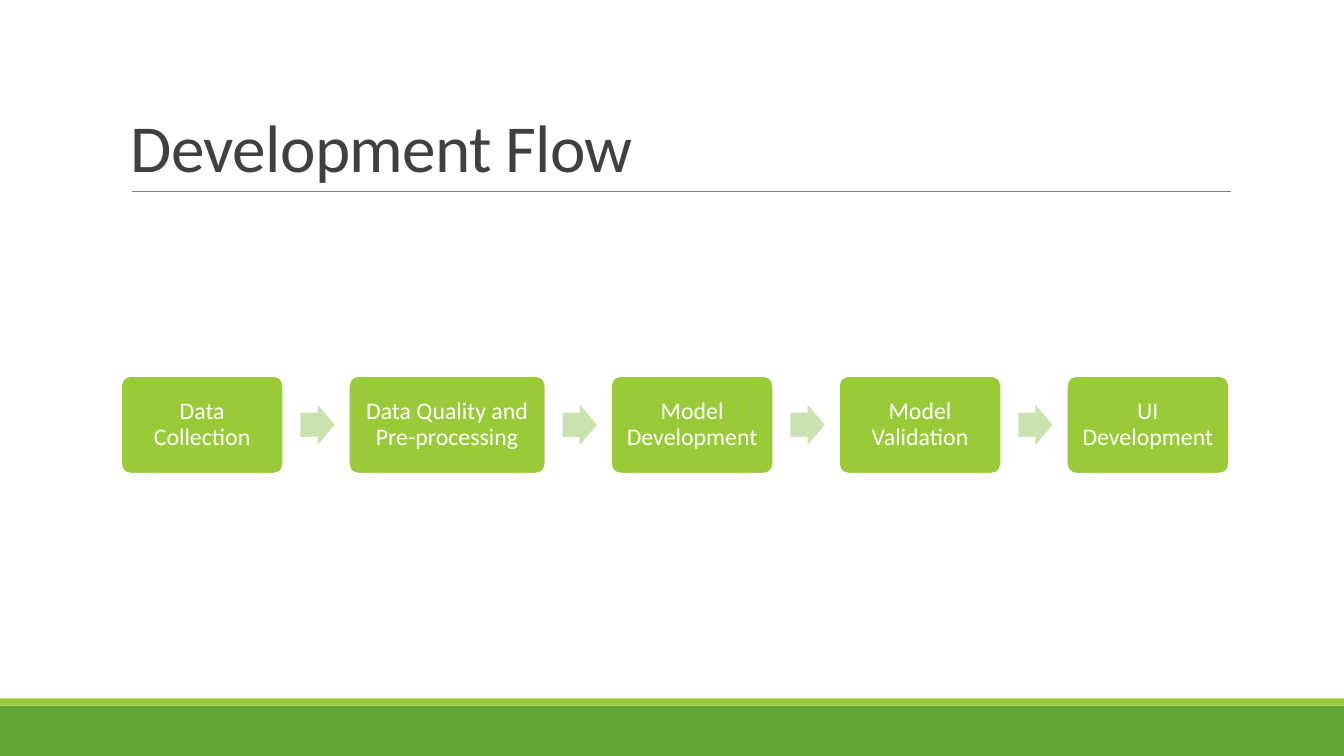
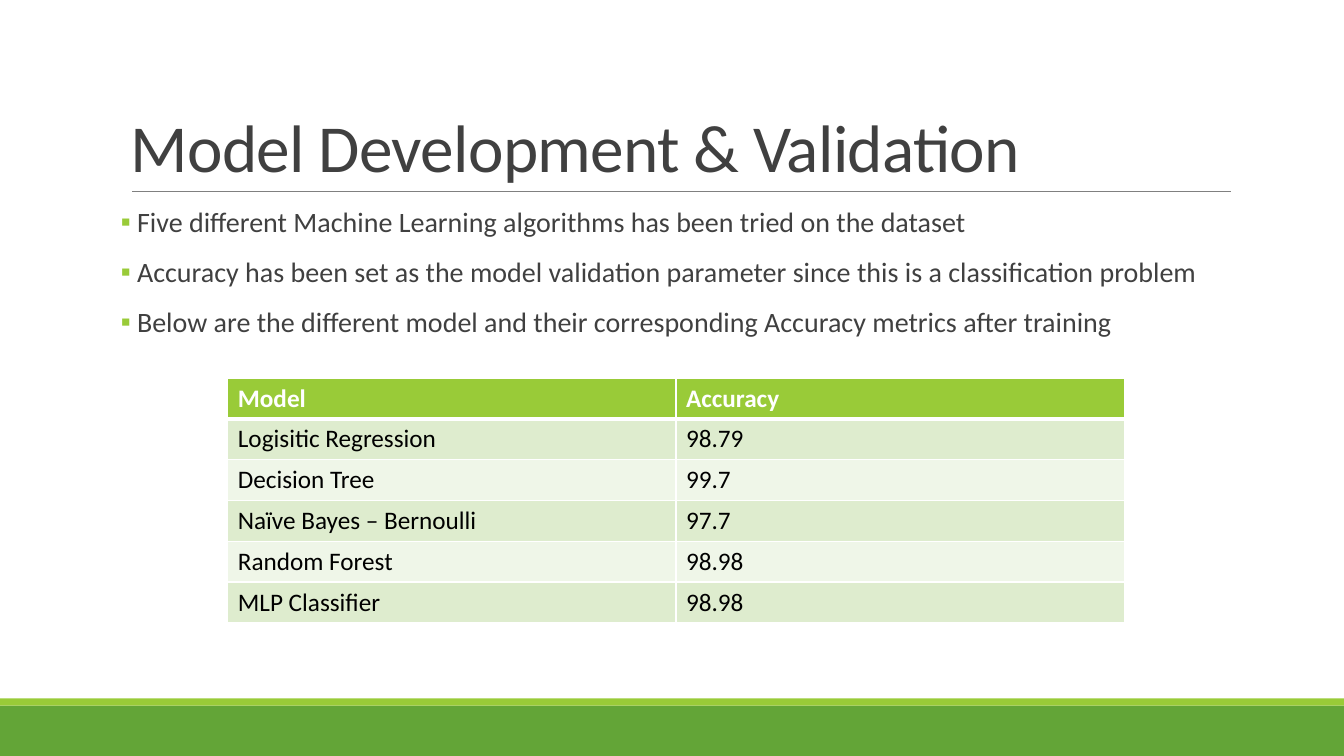
import pptx
import pptx.util
import pptx.dml.color
import pptx.enum.shapes
import pptx.enum.text
import pptx.oxml
import pptx.oxml.ns
from lxml import etree

Inches = pptx.util.Inches
Pt = pptx.util.Pt
SHAPE = pptx.enum.shapes.MSO_SHAPE
ANCHOR = pptx.enum.text.MSO_ANCHOR
ALIGN = pptx.enum.text.PP_ALIGN
qn = pptx.oxml.ns.qn

COLORS = {
    "band": "63A537",
    "accent": "99CB38",
    "arrow": "CAE2AF",
    "row_odd": "DEECCE",
    "row_even": "EFF6E8",
    "rule": "808080",
    "text": "404040",
    "black": "000000",
    "white": "FFFFFF",
}


def rgb(name):
    return pptx.dml.color.RGBColor.from_string(COLORS[name])


class Deck:
    font = "Calibri"
    width, height = 13.33, 7.5
    left, content_width = 1.2, 11

    def __init__(self):
        self.prs = pptx.Presentation()
        self.prs.slide_width = Inches(self.width)
        self.prs.slide_height = Inches(self.height)
        self.s = None

    def slide(self, title):
        """Start a slide with the shared bands, title and rule."""
        self.s = self.prs.slides.add_slide(self.prs.slide_layouts[6])
        self.shape(SHAPE.RECTANGLE, 0, 7, self.width, 0.5, "band")
        self.shape(SHAPE.RECTANGLE, 0, 6.93, self.width, 0.07, "accent")
        self.line(1.31, 1.9, 12.21, 1.9, "rule", 0.5)
        tf = self.textbox(self.left, 0.31, self.content_width, 1.59)
        tf.vertical_anchor = ANCHOR.BOTTOM
        p = tf.paragraphs[0]
        self.set_text(p, title, 48, "text", spacing=0.85)
        p.runs[0]._r.get_or_add_rPr().set("spc", "-50")

    def shape(self, kind, x, y, w, h, fill, adjustments=()):
        sp = self.s.shapes.add_shape(kind, Inches(x), Inches(y), Inches(w), Inches(h))
        sp.shadow.inherit = False
        sp.fill.solid()
        sp.fill.fore_color.rgb = rgb(fill)
        sp.line.fill.background()
        for i, value in enumerate(adjustments):
            sp.adjustments[i] = value
        return sp

    def line(self, x1, y1, x2, y2, color, width):
        cn = self.s.shapes.add_connector(
            pptx.enum.shapes.MSO_CONNECTOR.STRAIGHT,
            Inches(x1), Inches(y1), Inches(x2), Inches(y2))
        cn.line.color.rgb = rgb(color)
        cn.line.width = Pt(width)
        etree.SubElement(cn._element.spPr, qn("a:effectLst"))

    def textbox(self, x, y, w, h):
        tf = self.s.shapes.add_textbox(
            Inches(x), Inches(y), Inches(w), Inches(h)).text_frame
        tf.word_wrap = True
        return tf

    def set_text(self, p, text, size, color, bold=False, spacing=None):
        p.text = text
        p.line_spacing = spacing
        for r in p.runs:
            r.font.name = self.font
            r.font.size = Pt(size)
            r.font.bold = bold
            r.font.color.rgb = rgb(color)

    def bullets(self, x, y, w, h, items, indent=0.16):
        tf = self.textbox(x, y, w, h)
        tf.margin_left = tf.margin_right = 0
        for i, item in enumerate(items):
            p = tf.add_paragraph() if i else tf.paragraphs[0]
            self.set_text(p, item, 20, "text", spacing=0.9)
            p.space_before, p.space_after = Pt(12), Pt(2)
            pPr = p._p.get_or_add_pPr()
            pPr.set("marL", str(Inches(indent)))
            pPr.set("indent", str(-Inches(indent)))
            color = etree.SubElement(pPr, qn("a:buClr"))
            etree.SubElement(color, qn("a:srgbClr"), val=COLORS["accent"])
            etree.SubElement(pPr, qn("a:buFont"), typeface=self.font)
            etree.SubElement(pPr, qn("a:buChar"), char="▪")

    def step(self, x, y, w, h, text):
        sp = self.shape(SHAPE.ROUNDED_RECTANGLE, x, y, w, h, "accent", [0.1])
        sp.line.color.rgb = rgb("white")
        sp.line.width = Pt(1.25)
        tf = sp.text_frame
        tf.word_wrap = True
        tf.vertical_anchor = ANCHOR.MIDDLE
        tf.margin_left = tf.margin_right = Inches(0.1)
        p = tf.paragraphs[0]
        self.set_text(p, text, 17, "white", spacing=0.9)
        p.alignment = ALIGN.CENTER

    def flow(self, x, y, h, steps, gap=0.65):
        """Lay out (text, width) steps in a row with an arrow in each gap."""
        arrow_w, arrow_h = 0.34, 0.4
        for i, (text, w) in enumerate(steps):
            if i:
                self.shape(SHAPE.RIGHT_ARROW, x - gap + 0.17, y + (h - arrow_h) / 2,
                           arrow_w, arrow_h, "arrow", [0.6, 0.5])
            self.step(x, y, w, h, text)
            x += w + gap

    def borders(self, cell, top, bottom):
        tcPr = cell._tc.get_or_add_tcPr()
        for side, width in (("L", 1), ("R", 1), ("T", top), ("B", bottom)):
            ln = etree.SubElement(tcPr, qn(f"a:ln{side}"), w=str(Pt(width)))
            fill = etree.SubElement(ln, qn("a:solidFill"))
            etree.SubElement(fill, qn("a:srgbClr"), val=COLORS["white"])

    def table(self, x, y, w, h, rows):
        tbl = self.s.shapes.add_table(
            len(rows), len(rows[0]), Inches(x), Inches(y), Inches(w), Inches(h)).table
        for i, row in enumerate(rows):
            header = i == 0
            fill = "accent" if header else "row_odd" if i % 2 else "row_even"
            for j, text in enumerate(row):
                cell = tbl.cell(i, j)
                self.borders(cell, top=3 if i == 1 else 1, bottom=3 if header else 1)
                cell.fill.solid()
                cell.fill.fore_color.rgb = rgb(fill)
                self.set_text(cell.text_frame.paragraphs[0], text, 18,
                              "white" if header else "black", bold=header)


def main():
    deck = Deck()

    deck.slide("Development Flow")
    deck.flow(deck.left, 3.73, 0.97, [
        ("Data Collection", 1.61),
        ("Data Quality and Pre-processing", 1.95),
        ("Model Development", 1.61),
        ("Model Validation", 1.61),
        ("UI Development", 1.61),
    ])

    deck.slide("Model Development & Validation")
    deck.bullets(deck.left, 2.02, deck.content_width, 4.4, [
        "Five different Machine Learning algorithms has been tried on the dataset",
        "Accuracy has been set as the model validation parameter since this is a "
        "classification problem",
        "Below are the different model and their corresponding Accuracy metrics "
        "after training",
    ])
    deck.table(2.26, 3.75, 8.89, 2.43, [
        ("Model", "Accuracy"),
        ("Logisitic Regression", "98.79"),
        ("Decision Tree", "99.7"),
        ("Naïve Bayes – Bernoulli", "97.7"),
        ("Random Forest", "98.98"),
        ("MLP Classifier", "98.98"),
    ])

    deck.prs.save("out.pptx")


if __name__ == "__main__":
    main()
